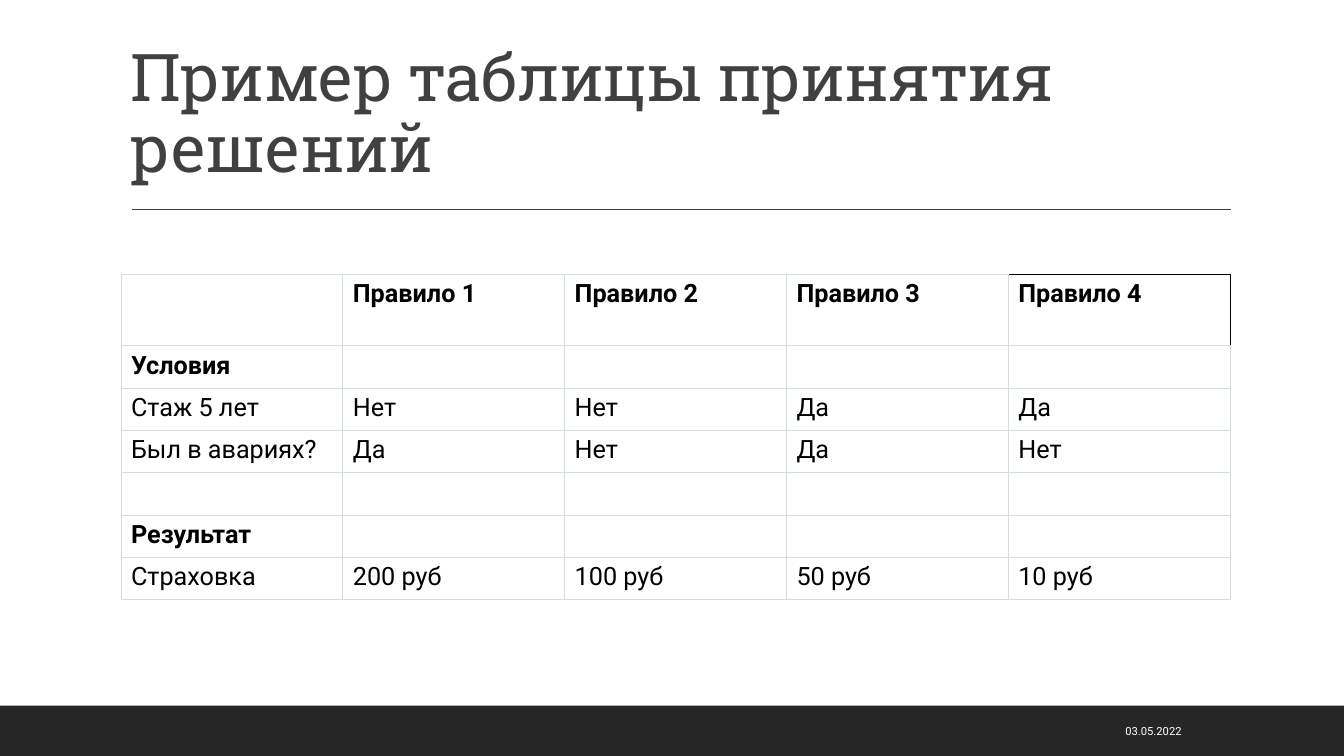
from lxml import etree
from pptx import Presentation
from pptx.dml.color import RGBColor
from pptx.enum import shapes, text
from pptx.oxml import ns
from pptx.util import Inches, Pt

COLORS = {
    "white": "FFFFFF",
    "black": "000000",
    "footer": "262626",
    "title": "404040",
    "grid": "D5DDDF",
}
TITLE_FONT = "Roboto Slab"
BODY_FONT = "Roboto"
ROWS = [
    ["", "Правило 1", "Правило 2", "Правило 3", "Правило 4"],
    ["Условия", "", "", "", ""],
    ["Стаж 5 лет", "Нет", "Нет", "Да", "Да"],
    ["Был в авариях?", "Да", "Нет", "Да", "Нет"],
    ["", "", "", "", ""],
    ["Результат", "", "", "", ""],
    ["Страховка", "200 руб", "100 руб", "50 руб", "10 руб"],
]
BOLD_ROWS = {0, 1, 5}
HEADER_HEIGHT = 0.71
ROW_HEIGHT = 0.42
COLUMN_WIDTH = 2.2


def color(name):
    return RGBColor.from_string(COLORS[name])


def add_run(paragraph, words, font, size, color_name, bold=False):
    run = paragraph.add_run()
    run.text = words
    run.font.name = font
    run.font.size = Pt(size)
    run.font.bold = bold
    run.font.color.rgb = color(color_name)
    return run


def add_text(slide, box, words, font, size, color_name, anchor, align):
    shape = slide.shapes.add_textbox(*map(Inches, box))
    frame = shape.text_frame
    frame.word_wrap = True
    frame.vertical_anchor = anchor
    paragraph = frame.paragraphs[0]
    paragraph.alignment = align
    return paragraph, add_run(paragraph, words, font, size, color_name)


def add_title(slide):
    paragraph, run = add_text(
        slide, (1.2, 0.31, 11, 1.59), "Пример таблицы принятия решений",
        TITLE_FONT, 47, "title", text.MSO_ANCHOR.BOTTOM, text.PP_ALIGN.LEFT)
    paragraph.line_spacing = 0.9
    run.font._element.set("spc", "-50")


def add_rule(slide):
    connector = slide.shapes.add_connector(
        shapes.MSO_CONNECTOR.STRAIGHT,
        Inches(1.31), Inches(2.08), Inches(12.21), Inches(2.08))
    connector.line.color.rgb = color("title")
    connector.line.width = Pt(1)
    etree.SubElement(connector._element.spPr, ns.qn("a:effectLst"))


def add_footer(slide):
    bar = slide.shapes.add_shape(
        shapes.MSO_SHAPE.RECTANGLE, 0, Inches(7), Inches(13.33), Inches(0.5))
    bar.shadow.inherit = False
    bar.fill.solid()
    bar.fill.fore_color.rgb = color("footer")
    bar.line.fill.background()
    add_text(slide, (8.99, 7.05, 2.83, 0.4), "03.05.2022", BODY_FONT, 8,
             "white", text.MSO_ANCHOR.MIDDLE, text.PP_ALIGN.RIGHT)


def set_borders(cell, edge_colors):
    properties = cell._tc.get_or_add_tcPr()
    for side, color_name in zip("LRTB", edge_colors):
        line = etree.SubElement(properties, ns.qn(f"a:ln{side}"), w=str(Pt(0.6)))
        fill = etree.SubElement(line, ns.qn("a:solidFill"))
        etree.SubElement(fill, ns.qn("a:srgbClr"), val=COLORS[color_name])


def fill_cell(cell, words, bold, edge_colors):
    cell.margin_left = cell.margin_right = Inches(0.1)
    cell.margin_top = Inches(0.05)
    cell.margin_bottom = Inches(0.07)
    set_borders(cell, edge_colors)
    cell.fill.solid()
    cell.fill.fore_color.rgb = color("white")
    if words:
        add_run(cell.text_frame.paragraphs[0], words, BODY_FONT, 18, "black", bold)


def add_decision_table(slide):
    heights = [HEADER_HEIGHT] + [ROW_HEIGHT] * (len(ROWS) - 1)
    columns = len(ROWS[0])
    table = slide.shapes.add_table(
        len(ROWS), columns, Inches(1.2), Inches(2.72),
        Inches(COLUMN_WIDTH * columns), Inches(sum(heights))).table
    table.first_row = False
    table.horz_banding = False
    for column in table.columns:
        column.width = Inches(COLUMN_WIDTH)
    for row_index, values in enumerate(ROWS):
        table.rows[row_index].height = Inches(heights[row_index])
        for column_index, words in enumerate(values):
            corner = row_index == 0 and column_index == columns - 1
            outer = "black" if corner else "grid"
            fill_cell(table.cell(row_index, column_index), words,
                      row_index in BOLD_ROWS, ("grid", outer, outer, "grid"))


def main():
    presentation = Presentation()
    presentation.slide_width = Inches(13.33)
    presentation.slide_height = Inches(7.5)
    slide = presentation.slides.add_slide(presentation.slide_layouts[6])
    add_rule(slide)
    add_title(slide)
    add_decision_table(slide)
    add_footer(slide)
    presentation.save("out.pptx")


if __name__ == "__main__":
    main()
